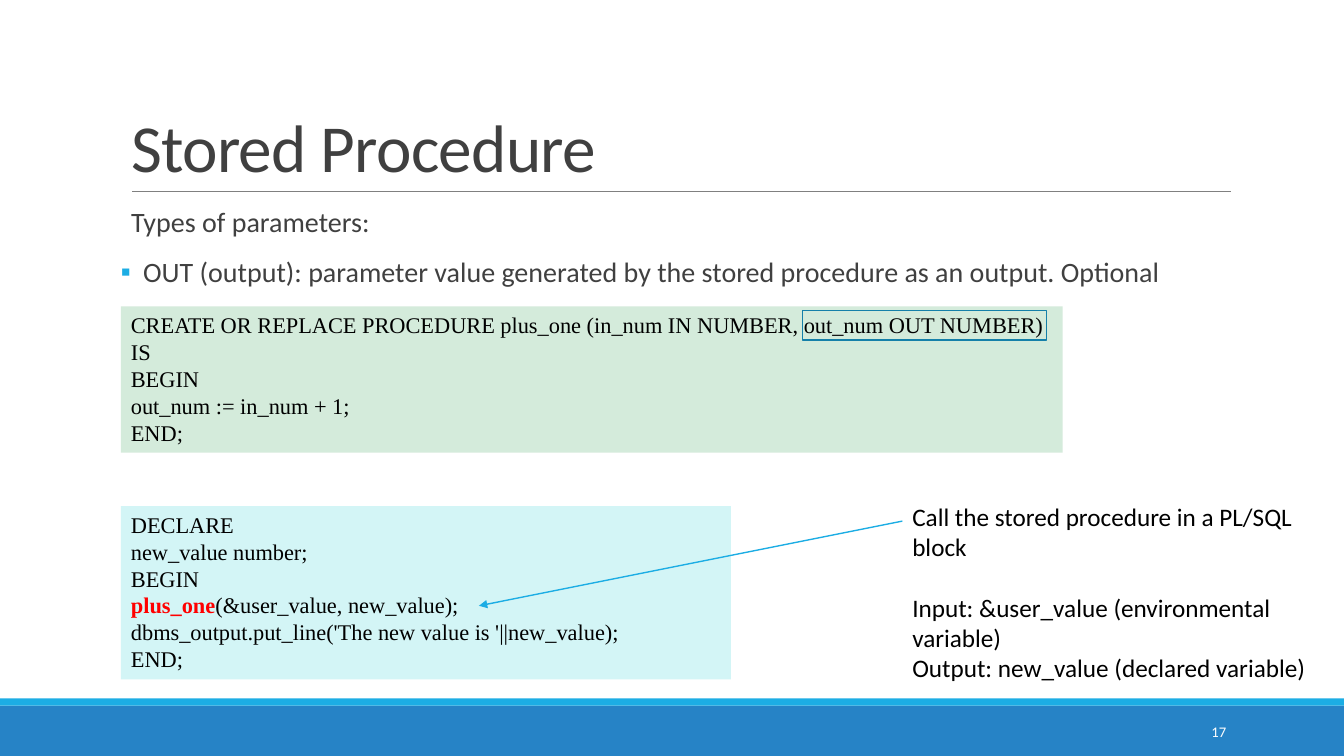
from lxml import etree
from pptx import Presentation
from pptx.dml.color import RGBColor
from pptx.enum import shapes, text
from pptx.oxml.ns import qn
from pptx.util import Inches, Pt

COLORS = {"footer": "2683C6", "accent": "1CADE4", "rule": "808080",
          "heading": "404040", "create": "D4EBDB", "call": "D3F5F6",
          "outline": "1580A9", "keyword": "FF0000", "black": "000000",
          "white": "FFFFFF"}
SANS, SERIF = "Calibri", "Times New Roman"


def rgb(name):
    return RGBColor.from_string(COLORS[name])


def add_run(p, words, size, font=SANS, color="black", bold=False):
    r = p.add_run()
    r.text = words
    r.font.size, r.font.name, r.font.bold = Pt(size), font, bold
    r.font.color.rgb = rgb(color)
    return r


def add_box(s, box, fill=None, outline=None):
    sp = s.shapes.add_shape(shapes.MSO_SHAPE.RECTANGLE, *map(Inches, box))
    sp.shadow.inherit = False
    if fill:
        sp.fill.solid()
        sp.fill.fore_color.rgb = rgb(fill)
    else:
        sp.fill.background()
    if outline:
        sp.line.color.rgb = rgb(outline)
        sp.line.width = Pt(1.25)
    else:
        sp.line.fill.background()
    return sp


def add_line(s, start, end, color, width, arrow=False):
    c = s.shapes.add_connector(shapes.MSO_CONNECTOR.STRAIGHT,
                               *map(Inches, start + end))
    c.line.color.rgb = rgb(color)
    c.line.width = Pt(width)
    if arrow:
        etree.SubElement(c.line._get_or_add_ln(), qn("a:tailEnd"), type="triangle")
    etree.SubElement(c._element.spPr, qn("a:effectLst"))


def place(sp, box):
    sp.left, sp.top, sp.width, sp.height = map(Inches, box)
    sp.text_frame.auto_size = text.MSO_AUTO_SIZE.NONE
    return sp.text_frame


def set_bullet(p, char, margin, hanging):
    pPr = p._p.get_or_add_pPr()
    pPr.set("marL", str(Inches(margin)))
    pPr.set("indent", str(-Inches(hanging)))
    if char:
        color = etree.SubElement(pPr, qn("a:buClr"))
        etree.SubElement(color, qn("a:srgbClr"), val=COLORS["accent"])
        etree.SubElement(pPr, qn("a:buFont"), typeface=SANS)
        etree.SubElement(pPr, qn("a:buChar"), char=char)
    else:
        etree.SubElement(pPr, qn("a:buNone"))


# Bands at the foot of the slide with the page number
def footer(s, box, number):
    x, y, w, h = box
    add_box(s, (x, y + 0.07, w, h - 0.07), "footer")
    add_box(s, (x, y, w, 0.07), "accent")
    tb = s.shapes.add_textbox(*map(Inches, (x + 10.83, y + 0.13, 1.43, 0.4)))
    tf = tb.text_frame
    tf.word_wrap = True
    tf.vertical_anchor = text.MSO_ANCHOR.MIDDLE
    p = tf.paragraphs[0]
    p.alignment = text.PP_ALIGN.RIGHT
    add_run(p, number, 10.5, color="white")


# Title above its rule
def heading(s, box, words):
    x, y, w, h = box
    tf = place(s.shapes.title, box)
    tf.vertical_anchor = text.MSO_ANCHOR.BOTTOM
    p = tf.paragraphs[0]
    p.alignment = text.PP_ALIGN.LEFT
    p.line_spacing = 0.85
    r = add_run(p, words, 48, color="heading")
    r.font._element.set("spc", "-50")
    add_line(s, (x + 0.11, y + h), (x + w + 0.01, y + h), "rule", 0.5)


# Lead-in and bullet
def body(s, box, items):
    tf = place(s.placeholders[1], box)
    tf.margin_left = tf.margin_right = 0
    tf.vertical_anchor = text.MSO_ANCHOR.TOP
    for i, (char, margin, hanging, words) in enumerate(items):
        p = tf.add_paragraph() if i else tf.paragraphs[0]
        set_bullet(p, char, margin, hanging)
        p.line_spacing = 0.9
        p.space_before = Pt(12 if i else 0)
        p.space_after = Pt(2)
        add_run(p, words, 20, color="heading")


# Coloured panel of code; each line is a list of (words, is_keyword)
def code_panel(s, box, fill, lines):
    tf = add_box(s, box, fill).text_frame
    tf.word_wrap = True
    tf.vertical_anchor = text.MSO_ANCHOR.TOP
    for i, line in enumerate(lines):
        p = tf.add_paragraph() if i else tf.paragraphs[0]
        p.alignment = text.PP_ALIGN.LEFT
        for words, keyword in line:
            add_run(p, words, 16, SERIF, "keyword" if keyword else "black", keyword)


# Remark with an arrow to the call it explains
def call_note(s, box, target, lines):
    x, y, _, _ = box
    add_line(s, (x, y + 0.25), target, "accent", 1, arrow=True)
    tf = s.shapes.add_textbox(*map(Inches, box)).text_frame
    tf.word_wrap = True
    for i, (words, gap) in enumerate(lines):
        p = tf.add_paragraph() if i else tf.paragraphs[0]
        p.space_before = Pt(gap)
        add_run(p, words, 18)


def main():
    prs = Presentation()
    prs.slide_width, prs.slide_height = Inches(13.33), Inches(7.5)
    s = prs.slides.add_slide(prs.slide_layouts[1])
    left = 1.2

    footer(s, (0, 6.93, 13.33, 0.57), "17")
    heading(s, (left, 0.31, 11, 1.59), "Stored Procedure")
    body(s, (left, 2.02, 11, 1), [
        (None, 0.1, 0, "Types of parameters:"),
        ("▪", 0.22, 0.22, "OUT (output): parameter value generated by the "
                          "stored procedure as an output. Optional")])
    code_panel(s, (left, 3.04, 9.34, 1.45), "create", [[(line, False)] for line in (
        "CREATE OR REPLACE PROCEDURE plus_one (in_num IN NUMBER, out_num OUT NUMBER)",
        "IS", "BEGIN", "out_num := in_num + 1;", "END;")])
    code_panel(s, (left, 5.02, 6.05, 1.72), "call", [
        [("DECLARE", False)],
        [("new_value number;", False)],
        [("BEGIN", False)],
        [("plus_one", True), ("(&user_value, new_value);", False)],
        [("dbms_output.put_line('The new value is '||new_value);", False)],
        [("END;", False)]])
    # Frame around the OUT parameter
    add_box(s, (7.96, 3.08, 2.42, 0.29), outline="outline")
    call_note(s, (8.95, 4.92, 4.13, 1.92), (4.75, 6.01), [
        ("Call the stored procedure in a PL/SQL block", 0),
        ("Input: &user_value (environmental variable)", 22),
        ("Output: new_value (declared variable)", 0)])
    prs.save("out.pptx")


if __name__ == "__main__":
    main()
